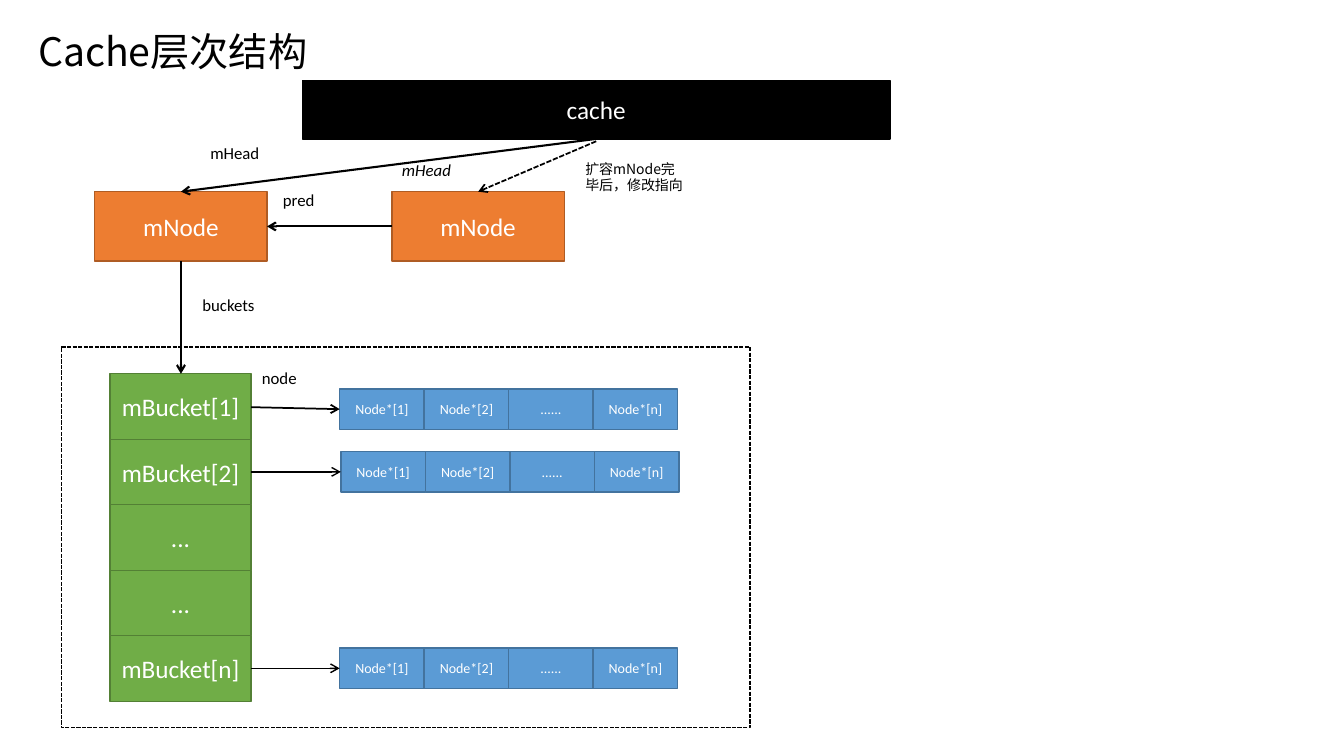
from collections import namedtuple

from lxml.etree import SubElement
from pptx import Presentation
from pptx.dml.color import RGBColor
from pptx.enum.dml import MSO_LINE_DASH_STYLE as Dash
from pptx.enum.shapes import MSO_CONNECTOR as Connector, MSO_SHAPE as Shape
from pptx.enum.text import MSO_ANCHOR as Anchor, MSO_AUTO_SIZE as AutoSize, PP_ALIGN as Align
from pptx.oxml.ns import qn
from pptx.util import Cm, Pt

Box = namedtuple("Box", "left top width height")

COLORS = {
    "ink": "000000",
    "paper": "FFFFFF",
    "bucket": "70AD47",
    "bucket_edge": "538035",
    "node": "5B9BD5",
    "node_edge": "43739E",
    "mnode": "ED7D31",
    "mnode_edge": "AF5C24",
}
LATIN = "Calibri"
CJK = "Noto Sans CJK JP"
NODES = ["Node*[1]", "Node*[2]", "......", "Node*[n]"]
BUCKETS = ["mBucket[1]", "mBucket[2]", "...", "...", "mBucket[n]"]
NODE_WIDTH, NODE_HEIGHT = 2.13, 1.02


def color(name):
    return RGBColor.from_string(COLORS[name])


def write(frame, text, size, ink="ink", font=LATIN, align=Align.LEFT, italic=False):
    frame.text = text
    frame.word_wrap = True
    para = frame.paragraphs[0]
    para.alignment = align
    for span in para.runs:
        span.font.size = Pt(size)
        span.font.name = font
        span.font.italic = italic
        span.font.color.rgb = color(ink)
        SubElement(span.font._element, qn("a:ea"), typeface=font)


def add_block(shapes, box, fill, edge, text="", size=18):
    block = shapes.add_shape(Shape.FLOWCHART_PROCESS, *map(Cm, box))
    block.shadow.inherit = False
    block.fill.solid()
    block.fill.fore_color.rgb = color(fill)
    block.line.color.rgb = color(edge)
    block.line.width = Pt(1)
    if text:
        write(block.text_frame, text, size, "paper", align=Align.CENTER)
        block.text_frame.vertical_anchor = Anchor.MIDDLE
    return block


def add_label(shapes, left, top, text, size=12, height=0.76, **style):
    label = shapes.add_textbox(Cm(left), Cm(top), Cm(3.02), Cm(height))
    write(label.text_frame, text, size, **style)


def add_arrow(shapes, start, end, width=1.5, dash=None):
    arrow = shapes.add_connector(Connector.STRAIGHT, *map(Cm, (*start, *end)))
    arrow.line.color.rgb = color("ink")
    arrow.line.width = Pt(width)
    if dash:
        arrow.line.dash_style = dash
    SubElement(arrow.line._get_or_add_ln(), qn("a:tailEnd"), type="arrow")
    SubElement(arrow._element.spPr, qn("a:effectLst"))


def place_title(page, box):
    title = page.shapes.title
    title.left, title.top, title.width, title.height = map(Cm, box)
    write(title.text_frame, "Cache层次结构", 28, font=CJK)
    title.text_frame.vertical_anchor = Anchor.TOP
    title.text_frame.auto_size = AutoSize.NONE


def draw_node_row(shapes, left, top):
    for column, text in enumerate(NODES):
        box = Box(left + column * NODE_WIDTH, top, NODE_WIDTH, NODE_HEIGHT)
        add_block(shapes, box, "node", "node_edge", text, 10)


def draw_buckets(page, box):
    frame = add_block(page.shapes, box, "paper", "ink")
    frame.line.dash_style = Dash.SQUARE_DOT

    shapes = page.shapes.add_group_shape().shapes
    left, top = box.left + 1.22, box.top + 0.68
    width, height = 3.56, 1.65
    for index, text in enumerate(BUCKETS):
        add_block(shapes, Box(left, top + index * height, width, height),
                  "bucket", "bucket_edge", text)

    right = left + width
    rows = [(0, 5.79, 0.38, -0.05, 1.25), (1, 5.82, 0.31, 0, 1), (4, 5.79, 0.31, 0, 1)]
    for index, shift, drop, tilt, weight in rows:
        row_left, row_top = left + shift, top + index * height + drop
        draw_node_row(shapes, row_left, row_top)
        middle = row_top + NODE_HEIGHT / 2
        add_arrow(shapes, (right, middle + tilt), (row_left, middle), weight)
    add_label(page.shapes, right + 0.02, box.top + 0.4, "node")


def draw_cache_and_mnodes(page, box):
    shapes = page.shapes
    left, top = box.left, box.top
    width, height = 4.34, 1.75
    mnode_top = top + 2.8
    next_left = left + 7.49
    middle = mnode_top + height / 2
    center = left + width / 2
    cache = Box(left + 5.23, top, box.width - 5.23, 1.47)
    cache_center, cache_bottom = cache.left + cache.width / 2, top + cache.height

    for mnode_left in (left, next_left):
        add_block(shapes, Box(mnode_left, mnode_top, width, height),
                  "mnode", "mnode_edge", "mNode")
    add_block(shapes, cache, "ink", "ink", "cache")

    add_arrow(shapes, (center, mnode_top + height), (center, top + box.height))
    add_arrow(shapes, (next_left, middle), (left + width, middle))
    add_arrow(shapes, (cache_center, cache_bottom), (center, mnode_top))
    add_arrow(shapes, (cache_center, cache_bottom + 0.06),
              (next_left + width / 2, mnode_top), 1.25, Dash.SQUARE_DOT)

    add_label(shapes, left + 2.46, top + 5.26, "buckets")
    add_label(shapes, left + 4.49, top + 2.62, "pred")
    add_label(shapes, left + 2.66, top + 1.45, "mHead")
    add_label(shapes, next_left, top + 1.88, "mHead", italic=True)
    add_label(shapes, left + 12.11, top + 1.88, "扩容mNode完毕后，修改指向", 10, 1.12, font=CJK)


def main():
    deck = Presentation()
    deck.slide_width, deck.slide_height = Cm(33.87), Cm(19.05)
    page = deck.slides.add_slide(deck.slide_layouts[5])
    place_title(page, Box(0.71, 0.56, 8.05, 1.45))
    draw_buckets(page, Box(1.55, 8.74, 17.35, 9.6))
    draw_cache_and_mnodes(page, Box(2.39, 2.03, 20.04, 7.39))
    deck.save("out.pptx")


if __name__ == "__main__":
    main()
